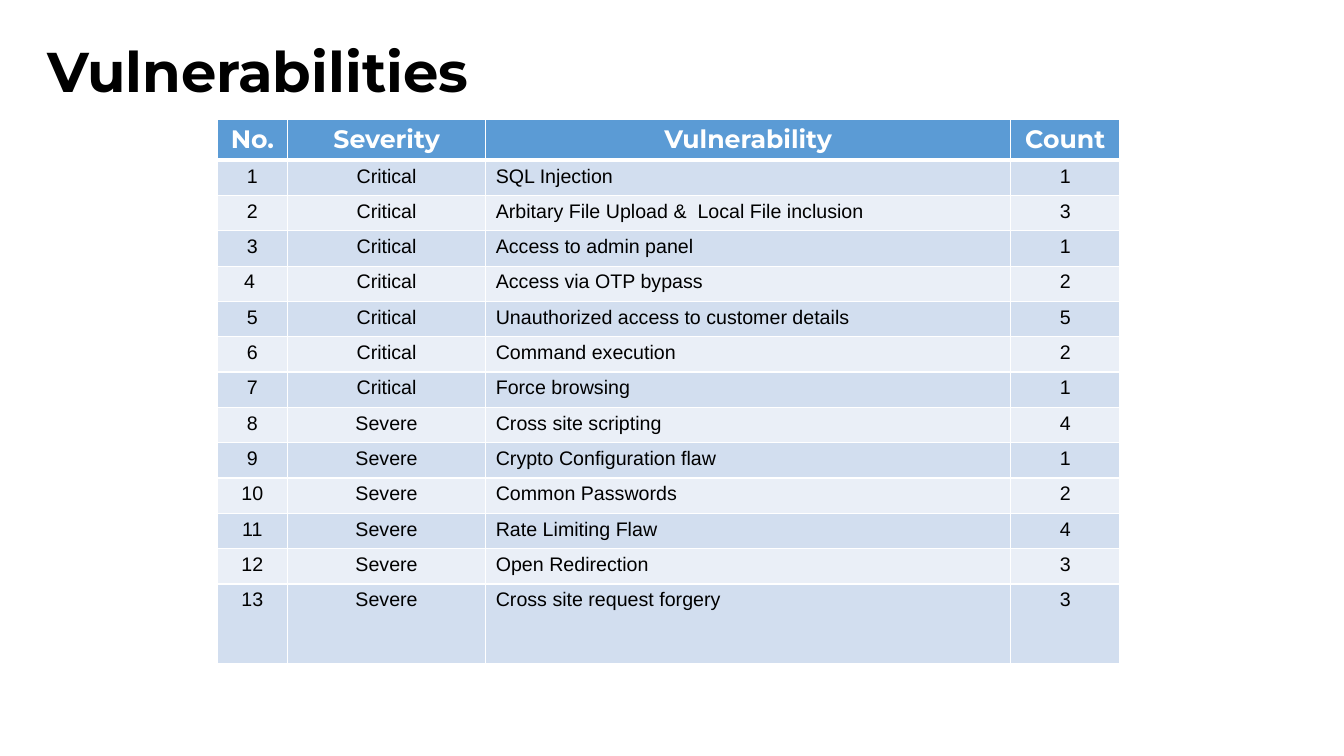
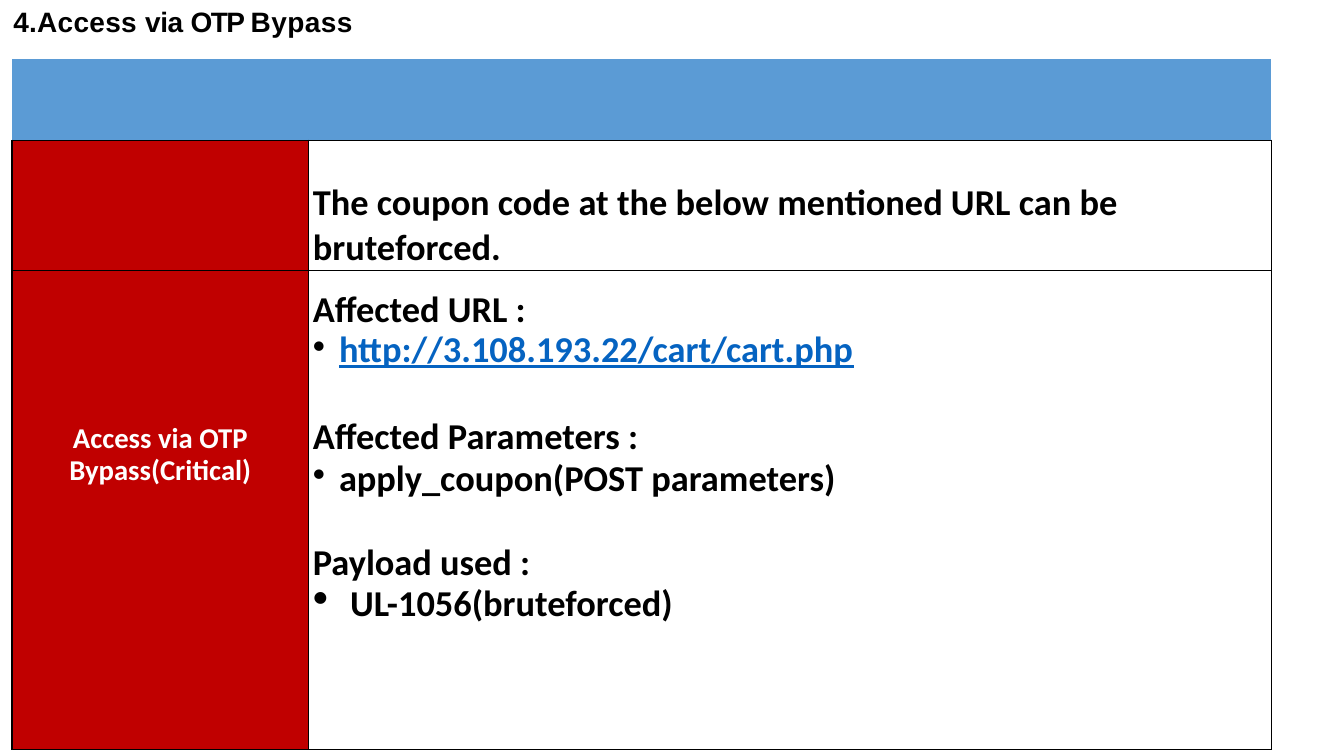
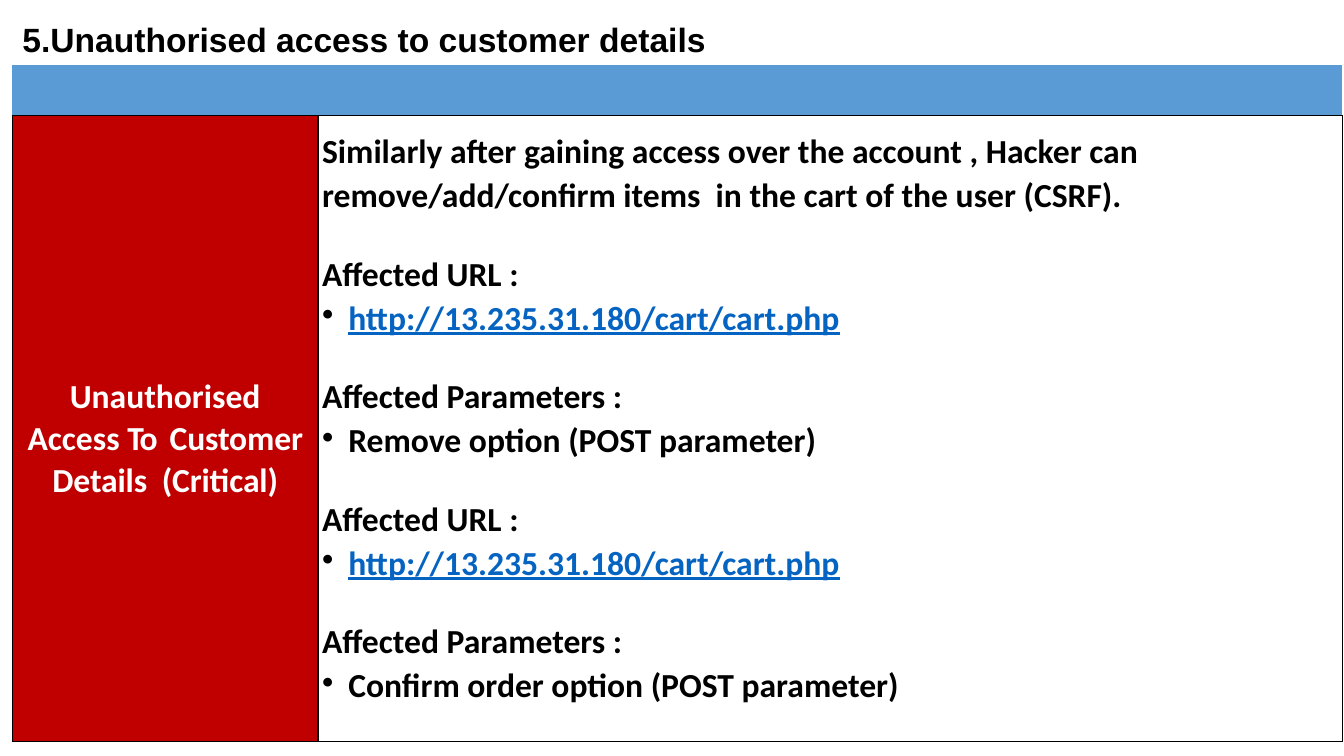
from lxml import etree
from pptx import Presentation
from pptx.dml.color import RGBColor
from pptx.enum.text import MSO_ANCHOR, MSO_AUTO_SIZE, PP_ALIGN
from pptx.oxml.ns import qn
from pptx.util import Pt

LEFT, MID = PP_ALIGN.LEFT, PP_ALIGN.CENTER
TOP, CENTER = MSO_ANCHOR.TOP, MSO_ANCHOR.MIDDLE
FIXED = MSO_AUTO_SIZE.NONE
TITLE_ONLY = 5

INK = {
    "black": "000000", "white": "FFFFFF", "blue": "5B9BD5", "red": "C00000",
    "link": "0563C1", "odd": "D2DEEF", "even": "EAEFF7",
}
SIDES = {"l": "lnL", "r": "lnR", "t": "lnT", "b": "lnB"}
INSETS = ("margin_left", "margin_top", "margin_right", "margin_bottom")
PLAIN = (7.2, 3.6, 7.2, 3.6)

# Text formats
HEAD = {"name": "Montserrat", "size": Pt(18), "bold": True}
ROW = {"name": "Arial", "size": Pt(14), "bold": False}
BODY = {"name": "Calibri", "size": Pt(26), "bold": True}
NOTE = {**BODY, "size": Pt(24)}
TAG = {**BODY, "size": Pt(20.5)}


def title_font(size, name="Arial"):
    return {"name": name, "size": Pt(size), "bold": True}


class Deck:
    def __init__(self):
        self.prs = Presentation()
        self.prs.slide_width, self.prs.slide_height = Pt(960), Pt(540)
        self.slide = None

    def page(self, title, box, font, insets=PLAIN, anchor=CENTER, **para):
        """Start a slide and set its title."""
        layout = self.prs.slide_layouts[TITLE_ONLY]
        self.slide = self.prs.slides.add_slide(layout)
        shape = self.slide.shapes.title
        for key, val in zip(("left", "top", "width", "height"), box):
            setattr(shape, key, Pt(val))
        frame = shape.text_frame
        frame.word_wrap, frame.auto_size = True, FIXED
        frame.vertical_anchor = anchor
        for key, val in zip(INSETS, insets):
            setattr(frame, key, Pt(val))
        self.para(frame.paragraphs[0], title, font, **para)

    def para(self, par, text, font, ink="black", align=LEFT, space=0,
             line=1.0, bullet=None):
        """Fill a paragraph; text is a string or (text, spacing) pairs."""
        look = {"alignment": align, "space_before": Pt(space),
                "line_spacing": line}
        for key, val in look.items():
            setattr(par, key, val)
        if bullet:
            self.bullet(par, *bullet)
        for part, gap in [(text, 0)] if isinstance(text, str) else text:
            run = par.add_run()
            run.text = part
            for key, val in font.items():
                setattr(run.font, key, val)
            run.font.color.rgb = RGBColor.from_string(INK[ink])
            run.font.underline = ink == "link"
            if gap:
                run._r.get_or_add_rPr().set("spc", str(round(gap * 100)))

    def bullet(self, par, left, hang, scale=100):
        props = par._p.get_or_add_pPr()
        props.set("marL", str(Pt(left)))
        props.set("indent", str(-Pt(hang)))
        tint = etree.SubElement(props, qn("a:buClr"))
        etree.SubElement(tint, qn("a:srgbClr"), val=INK["black"])
        etree.SubElement(props, qn("a:buSzPct"), val=str(scale * 1000))
        etree.SubElement(props, qn("a:buChar"), char="•")

    def grid(self, left, top, cols, rows):
        """Add a bare table with the given column widths and row heights."""
        frame = self.slide.shapes.add_table(
            len(rows), len(cols), Pt(left), Pt(top), Pt(sum(cols)),
            Pt(sum(rows)))
        table = frame.table
        table.first_row = table.horz_banding = False
        for col, width in zip(table.columns, cols):
            col.width = Pt(width)
        for row, height in zip(table.rows, rows):
            row.height = Pt(height)
        return table

    def cell(self, cell, fill=None, edges=None, insets=PLAIN):
        """Set fill, insets and borders; edges maps side to (ink, width)."""
        if fill:
            cell.fill.solid()
            cell.fill.fore_color.rgb = RGBColor.from_string(INK[fill])
        else:
            cell.fill.background()
        for key, val in zip(INSETS, insets):
            setattr(cell, key, Pt(val))
        props = cell._tc.get_or_add_tcPr()
        for spot, (side, tag) in enumerate(SIDES.items()):
            ink, width = (edges or {}).get(side, (None, 0))
            edge = etree.Element(qn("a:" + tag), w=str(Pt(width)))
            if ink:
                solid = etree.SubElement(edge, qn("a:solidFill"))
                etree.SubElement(solid, qn("a:srgbClr"), val=INK[ink])
            else:
                etree.SubElement(edge, qn("a:noFill"))
            props.insert(spot, edge)

    def band(self, table):
        """Merge the first row into a blue band."""
        for cell in table.rows[0].cells:
            self.cell(cell, "blue", {"b": ("black", 1)})
        table.cell(0, 0).merge(table.cell(0, 1))


def frame_of(sides, ink="black"):
    return {side: (ink, 1) for side in sides}


def list_slide(deck):
    deck.page("Vulnerabilities", (26.6, 22.3, 801.4, 62),
              title_font(40, "Montserrat"), line=0.9)
    names = ["SQL Injection", "Arbitary File Upload &  Local File inclusion",
             "Access to admin panel", "Access via OTP bypass",
             "Unauthorized access to customer details", "Command execution",
             "Force browsing", "Cross site scripting",
             "Crypto Configuration flaw", "Common Passwords",
             "Rate Limiting Flaw", "Open Redirection",
             "Cross site request forgery"]
    counts = [1, 3, 1, 2, 5, 2, 1, 4, 1, 2, 4, 3, 3]
    data = [("No.", "Severity", "Vulnerability", "Count")]
    for num, (name, count) in enumerate(zip(names, counts), 1):
        rank = "Critical" if num <= 7 else "Severe"
        data.append(("4 " if num == 4 else str(num), rank, name, str(count)))

    table = deck.grid(155.2, 85.2, [50.2, 141.6, 375, 78],
                      [28.6] + [25.25] * 12 + [57.2])
    for r, texts in enumerate(data):
        edges = frame_of("lrtb", "white")
        if r < 2:
            edges["t" if r else "b"] = ("white", 3)
        fill = ("odd" if r % 2 else "even") if r else "blue"
        for c, text in enumerate(texts):
            cell = table.cell(r, c)
            deck.cell(cell, fill, edges)
            deck.para(cell.text_frame.paragraphs[0], text,
                      ROW if r else HEAD, "black" if r else "white",
                      LEFT if r and c == 2 else MID)


def bypass_slide(deck):
    deck.page([("4.Access ", 0.2), ("via ", -0.3), ("OTP ", -1.2),
               ("Bypass", 0.3)], (8.8, 1.6, 589, 25.4), title_font(20),
              insets=(0.7, 1.6, 0, 0))
    table = deck.grid(8.6, 42, [212, 687.4],
                      [58.2, 92.8, 44.7, 46.8, 43.2, 46.8, 42.5, 117.4])
    deck.band(table)

    # Row: text, top inset, paragraph format
    point = (18.7, 18.7)
    tags = {4: ("Access via OTP", 16, {}),
            5: ("Bypass(Critical)", 0, {"line": Pt(20.6)})}
    facts = [
        ("The coupon code at the below mentioned URL can be bruteforced.",
         29, {}),
        ("Affected URL :", 12.8, {}),
        ("http://3.108.193.22/cart/cart.php", 0,
         {"line": Pt(28.6), "ink": "link", "bullet": point}),
        ("Affected Parameters :", 11.9, {}),
        ("apply_coupon(POST parameters)", 0,
         {"line": Pt(29.7), "bullet": point}),
        ("Payload used :", 11.1, {}),
        ("UL-1056(bruteforced)", 0,
         {"line": Pt(29.2), "bullet": (26.6, 26.6, 125)}),
    ]
    last = len(facts)
    for r, (text, top, look) in enumerate(facts, 1):
        sides = "lr" + "t" * (r <= 2) + "b" * (r in (1, last))
        tag, fact = table.rows[r].cells
        deck.cell(fact, None, frame_of(sides), (2.9, top, 0, 0))
        deck.para(fact.text_frame.paragraphs[0], text, BODY, **look)
        name, drop, form = tags.get(r, ("", 0, {}))
        deck.cell(tag, "red", frame_of(sides), (0, drop, 0, 0))
        if name:
            deck.para(tag.text_frame.paragraphs[0], name, TAG, "white",
                      MID, **form)


def access_slide(deck):
    deck.page("5.Unauthorised access to customer details",
              (8.8, 10.1, 838.8, 36), title_font(24), anchor=TOP)
    table = deck.grid(8.8, 46.1, [218.4, 731.5], [36.7, 447.1])
    deck.band(table)
    tag, fact = table.rows[1].cells
    deck.cell(tag, "red", frame_of("lrtb"), (9, 186, 9, 0))
    deck.para(tag.text_frame.paragraphs[0],
              [("Unauthorised Access ", 0), ("To  ", -1.1),
               ("Customer Details  (Critical)", -0.1)],
              NOTE, "white", MID, line=1.02)

    # Finding, then pairs of heading and bullet
    deck.cell(fact, None, frame_of("lrtb"), (2.9, 9.4, 0, 0))
    frame = fact.text_frame
    deck.para(frame.paragraphs[0],
              "Similarly after gaining access over the account , Hacker can "
              "remove/add/confirm items  in the cart of the user (CSRF).",
              NOTE, line=1.07)
    url = "http://13.235.31.180/cart/cart.php"
    pairs = [("Affected URL :", url, "link"),
             ("Affected Parameters :", "Remove option (POST parameter)",
              "black"),
             ("Affected URL :", url, "link"),
             ("Affected Parameters :", "Confirm order option (POST parameter)",
              "black")]
    for head, item, ink in pairs:
        deck.para(frame.add_paragraph(), head, NOTE, space=27)
        deck.para(frame.add_paragraph(), item, NOTE, ink, space=1.9,
                  bullet=(18.7, 18.7))


def main():
    deck = Deck()
    list_slide(deck)
    bypass_slide(deck)
    access_slide(deck)
    deck.prs.save("out.pptx")


if __name__ == "__main__":
    main()
